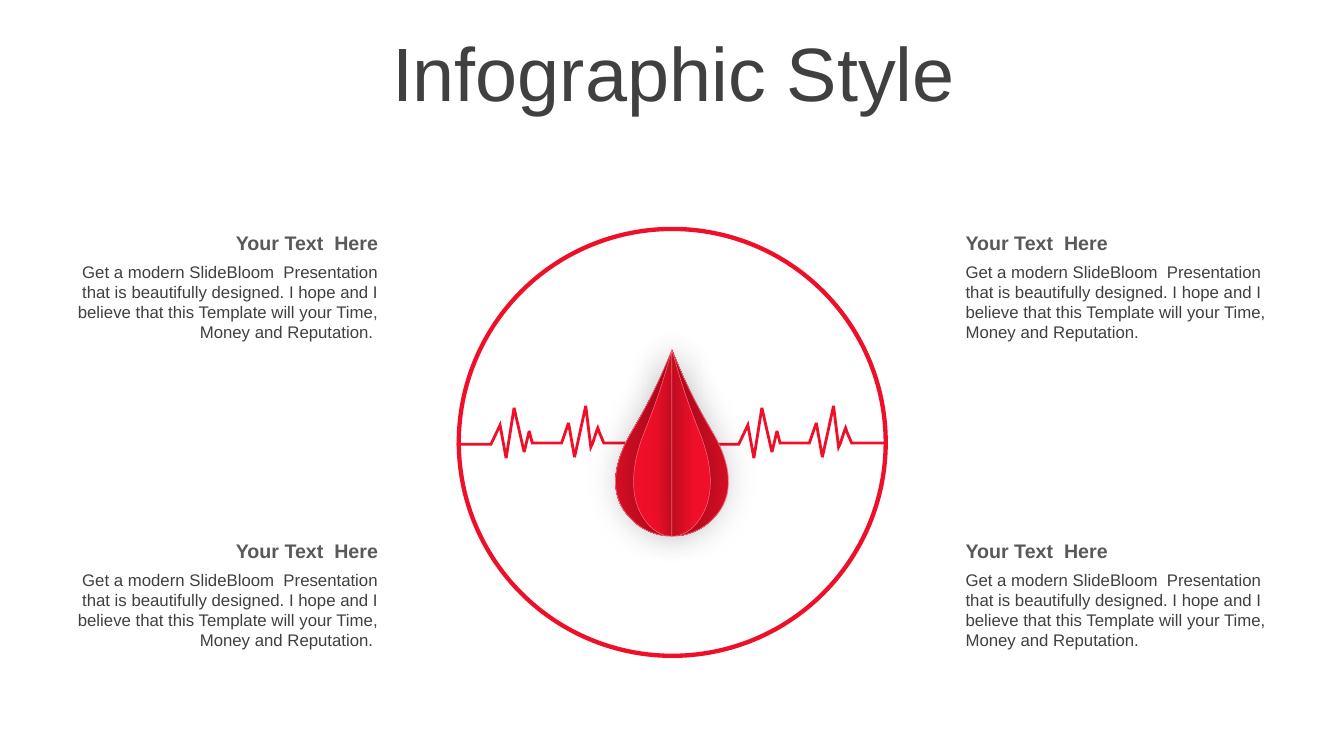
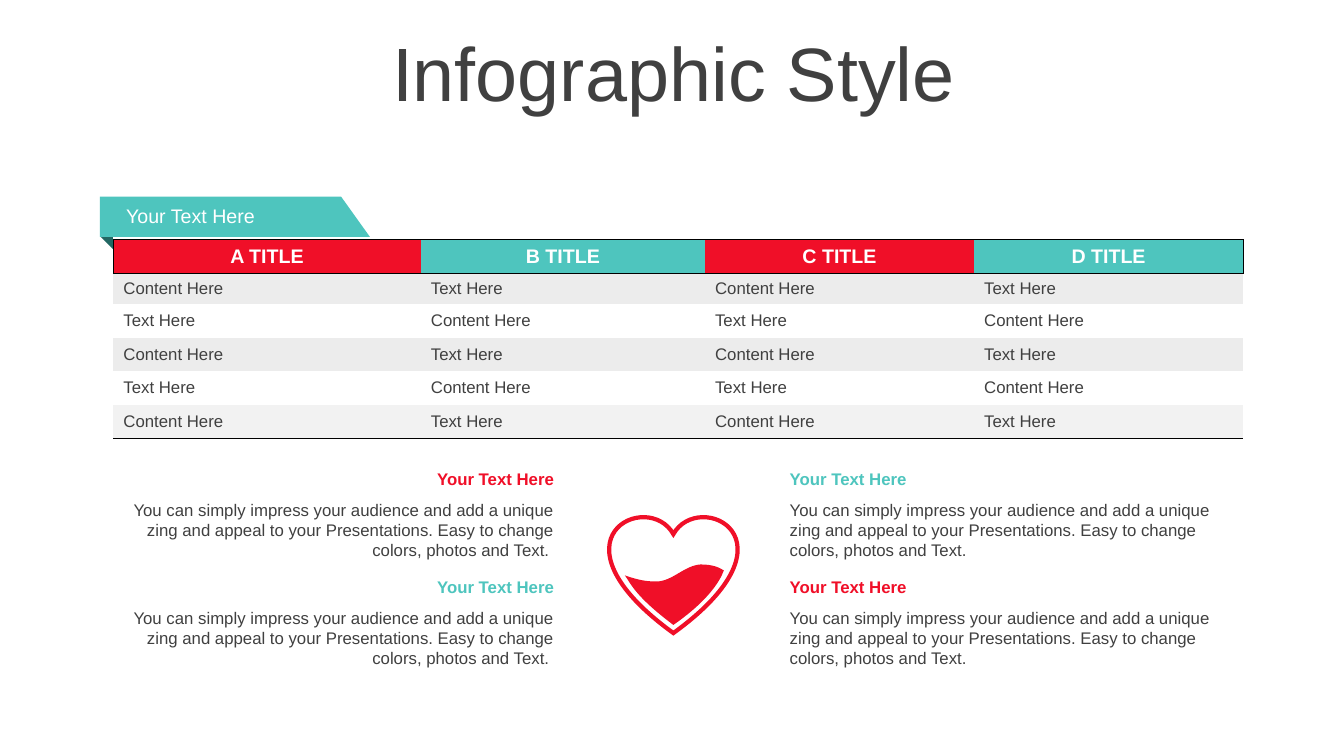
from lxml.etree import SubElement as Sub
from pptx import Presentation
from pptx.dml.color import RGBColor as RGB
from pptx.enum.shapes import MSO_SHAPE as SHAPE
from pptx.enum.text import MSO_ANCHOR as ANCHOR, PP_ALIGN as ALIGN
from pptx.oxml.ns import qn
from pptx.util import Pt

HUES = {
    "red": "F00F28",
    "teal": "4EC5BE",
    "fold": "226863",
    "ink": "404040",
    "gray": "595959",
    "white": "FFFFFF",
    "band": "ECECEC",
    "pale": "F2F2F2",
    "black": "000000",
    "rim": "F66F7E",
    "deep": "B40B1E",
    "dark": "C00C20",
    "mid": "D80E24",
    "core": "CC0D22",
}
FONT = "Arial"
PLAIN = "{2D5ABB26-0587-4C30-8999-92F81FD0307C}"


def trace(path):
    dots = [path[0]]
    for step in path[1:]:
        if len(step) == 2:
            dots.append(step)
            continue
        ends = [dots[-1], step[:2], step[2:4], step[4:]]
        for i in range(1, 25):
            t = i / 24
            mix = ((1 - t) ** 3, 3 * t * (1 - t) ** 2, 3 * t * t * (1 - t), t ** 3)
            dots.append(tuple(sum(m * e[k] for m, e in zip(mix, ends)) for k in (0, 1)))
    return dots


def move(path, dx, dy, sx=1):
    return [tuple(v * sx + dx if i % 2 == 0 else v + dy for i, v in enumerate(step))
            for step in path]


class Deck:
    def __init__(self):
        self.prs = Presentation()
        self.prs.slide_width, self.prs.slide_height = Pt(960), Pt(540)

    def hue(self, name):
        return RGB.from_string(HUES[name])

    def page(self, title):
        self.slide = self.prs.slides.add_slide(self.prs.slide_layouts[6])
        box = self.text(25.4, 26.6, 911.5, 57, title, 54, "ink", ALIGN.CENTER)
        box.text_frame.vertical_anchor = ANCHOR.MIDDLE
        box.text_frame.paragraphs[0].line_spacing = 0.9

    def style(self, para, size, hue, align, bold=False):
        para.alignment = align
        for run in para.runs:
            font = run.font
            font.name, font.size, font.bold = FONT, Pt(size), bold
            font.color.rgb = self.hue(hue)

    def text(self, x, y, w, h, words, size, hue, align=ALIGN.LEFT, bold=False):
        box = self.slide.shapes.add_textbox(Pt(x), Pt(y), Pt(w), Pt(h))
        box.text_frame.word_wrap = True
        box.text_frame.text = words
        self.style(box.text_frame.paragraphs[0], size, hue, align, bold)
        return box

    def note(self, x, y, w, head, body, size, hue, align):
        self.text(x, y, w, 22, head, size, hue, align, True)
        tail = " " if align == ALIGN.RIGHT else ""
        self.text(x, y + 22, w, 51, body + tail, 12, "ink", align)

    def paint(self, shape, fill=None, line=None, width=1):
        shape.shadow.inherit = False
        if fill:
            shape.fill.solid()
            shape.fill.fore_color.rgb = self.hue(fill)
        else:
            shape.fill.background()
        if line:
            shape.line.width = Pt(width)
            shape.line.color.rgb = self.hue(line)
            Sub(shape.line._ln, qn("a:miter"), lim="800000")
        else:
            shape.line.fill.background()
        return shape

    def ring(self, x, y, size):
        ring = self.slide.shapes.add_shape(SHAPE.DONUT, Pt(x), Pt(y), Pt(size), Pt(size))
        ring.adjustments[0] = 0.01
        self.paint(ring, "red")

    def free(self, path, close=True, **look):
        dots = [(Pt(x), Pt(y)) for x, y in trace(path)]
        form = self.slide.shapes.build_freeform(*dots[0])
        form.add_line_segments(dots[1:], close=close)
        shape = form.convert_to_shape()
        self.bend(shape, path, close)
        return self.paint(shape, **look)

    def bend(self, shape, path, close):
        route = shape._element.spPr.find(".//" + qn("a:path"))
        for part in list(route):
            route.remove(part)
        for i, step in enumerate(path):
            kind = "moveTo" if i == 0 else "lnTo" if len(step) == 2 else "cubicBezTo"
            part = Sub(route, qn("a:" + kind))
            for x, y in zip(step[::2], step[1::2]):
                Sub(part, qn("a:pt"), x=str(Pt(x) - shape.left), y=str(Pt(y) - shape.top))
        if close:
            Sub(route, qn("a:close"))

    def blend(self, shape, stops):
        props = shape._element.spPr
        old = props.find(qn("a:noFill"))
        grad = Sub(props, qn("a:gradFill"), rotWithShape="1")
        props.replace(old, grad)
        row = Sub(grad, qn("a:gsLst"))
        for spot, hue in stops:
            stop = Sub(row, qn("a:gs"), pos=str(spot * 1000))
            Sub(stop, qn("a:srgbClr"), val=HUES[hue])
        Sub(grad, qn("a:lin"), ang=str(180 * 60000), scaled="0")

    def glow(self, shape):
        group = shape._element.spPr.find(qn("a:effectLst"))
        cast = Sub(group, qn("a:outerShdw"), blurRad=str(Pt(25)), dist=str(Pt(1)),
                   dir=str(270 * 60000), algn="ctr", rotWithShape="0")
        tint = Sub(cast, qn("a:srgbClr"), val=HUES["black"])
        Sub(tint, qn("a:alpha"), val="15000")

    def edge(self, cell, sides):
        props = cell._tc.get_or_add_tcPr()
        for side in sides:
            line = Sub(props, qn("a:ln" + side), w=str(Pt(1)))
            fill = Sub(line, qn("a:solidFill"))
            Sub(fill, qn("a:srgbClr"), val=HUES["black"])

    def cell(self, cell, words, fill, sides, size, hue, align, bold=False):
        self.edge(cell, sides)
        if fill:
            cell.fill.solid()
            cell.fill.fore_color.rgb = self.hue(fill)
        else:
            cell.fill.background()
        cell.vertical_anchor = ANCHOR.MIDDLE
        cell.text_frame.text = words
        self.style(cell.text_frame.paragraphs[0], size, hue, align, bold)

    def table(self, x, y, cols, rows, heads, fills):
        frame = self.slide.shapes.add_table(len(rows), len(cols), Pt(x), Pt(y),
                                            Pt(sum(cols)), Pt(sum(rows)))
        grid = frame.table
        grid.first_row = grid.horz_banding = False
        grid._tbl.tblPr.find(qn("a:tableStyleId")).text = PLAIN
        for col, width in zip(grid.columns, cols):
            col.width = Pt(width)
        for row, height in zip(grid.rows, rows):
            row.height = Pt(height)
        last = len(cols) - 1
        for c, head in enumerate(heads):
            sides = ["L"] * (c == 0) + ["R"] * (c == last) + ["T", "B"]
            self.cell(grid.cell(0, c), head, ("red", "teal")[c % 2], sides,
                      14, "white", ALIGN.CENTER, True)
            for r, fill in enumerate(fills, 1):
                words = "Text Here" if (r + c) % 2 == 0 else "Content Here"
                self.cell(grid.cell(r, c), words, fill, ["B"] * (r == len(fills)),
                          12, "ink", ALIGN.LEFT)


PULSE = [(0, 27.4), (24.5, 27.4), (31, 13.7), (35.3, 37.4), (41, 1.4), (48.2, 33.1),
         (51.8, 18), (54, 26.6), (74.9, 26.6), (79.9, 12.2), (84.2, 36.7), (92.2, 0),
         (95.8, 29.5), (97.9, 25.9, 98.6, 20.9, 100.8, 15.8),
         (102.2, 20.2, 103.7, 23, 105.1, 26.6), (128.2, 26.6)]
HALF = [(0, 0), (0, 133.2), (10.8, 133.2, 22, 128.9, 29.9, 120.2),
        (46.1, 103.7, 41.4, 80.6, 29.9, 60.5), (18, 40.3, 10.4, 25.9, 0, 0)]
HEART = [(0, 0), (18, -32.4, 93.6, 2.9, 0, 70.6), (-93.6, 2.9, -18, -32.4, 0, 0)]
WAVE = [(500.4, 403.2), (510.5, 403.2, 514.8, 406.1, 517, 407.5), (515.5, 411.1),
        (510.5, 421.2, 499.7, 433.4, 481, 446.4),
        (466.6, 435.6, 456.5, 426.2, 450.7, 417.6), (446.4, 411.1),
        (455, 414, 460.8, 415.4, 468.7, 415.4),
        (480.2, 415.4, 488.9, 403.9, 500.4, 403.2)]
OUTER = [(0, "deep"), (25, "dark"), (100, "mid")]
OUTER_R = [(0, "mid"), (75, "dark"), (100, "deep")]
INNER = [(0, "core"), (40, "red"), (100, "red")]
INNER_R = [(0, "red"), (40, "red"), (100, "dark")]
TITLE = "Infographic Style"


def drop_page(deck):
    deck.page(TITLE)
    for x in (326.2, 503.2):
        deck.free(move(PULSE, x, 289.9), close=False, line="red", width=2)
    deck.ring(326.2, 162, 308)
    body = ("Get a modern SlideBloom  Presentation that is beautifully designed. "
            "I hope and I believe that this Template will your Time, "
            "Money and Reputation.")
    for x, align in ((682.6, ALIGN.LEFT), (43.2, ALIGN.RIGHT)):
        for y in (161.3, 381.1):
            deck.note(x, y, 234, "Your Text  Here", body, 14, "gray", align)
    for scale, stops, width in ((-1, OUTER, 0.5), (1, OUTER_R, 0.5),
                                (-0.68, INNER, 0.35), (0.68, INNER_R, 0.35)):
        half = deck.free(move(HALF, 480, 249.8, scale), line="rim", width=width)
        deck.blend(half, stops)
        deck.glow(half)


def table_page(deck):
    deck.page(TITLE)
    deck.table(81, 171.2, [219.6, 203, 192.2, 192.2], [24.2, 21.8] + [24] * 4,
               [f"{mark} TITLE" for mark in "ABCD"],
               ["band", None, "band", None, "pale"])
    deck.free([(80.6, 141.8), (72, 141.8), (72, 169.2), (80.6, 177.8)], fill="fold")
    deck.free([(71.4, 140.4), (243.6, 140.4), (264.2, 169.2), (71.4, 169.2)], fill="teal")
    deck.text(83, 141.8, 148.3, 24.2, "Your Text Here", 14, "white")
    body = ("You can simply impress your audience and add a unique zing and appeal "
            "to your Presentations. Easy to change colors, photos and Text.")
    for x, align, hues in ((68.4, ALIGN.RIGHT, ("red", "teal")),
                           (557, ALIGN.LEFT, ("teal", "red"))):
        for y, hue in zip((331.2, 408.2), hues):
            deck.note(x, y, 334.5, "Your Text Here", body, 12, hue, align)
    deck.free(move(HEART, 481, 381.6), line="red", width=3)
    deck.free(WAVE, fill="red")


def main():
    deck = Deck()
    drop_page(deck)
    table_page(deck)
    deck.prs.save("out.pptx")


if __name__ == "__main__":
    main()
